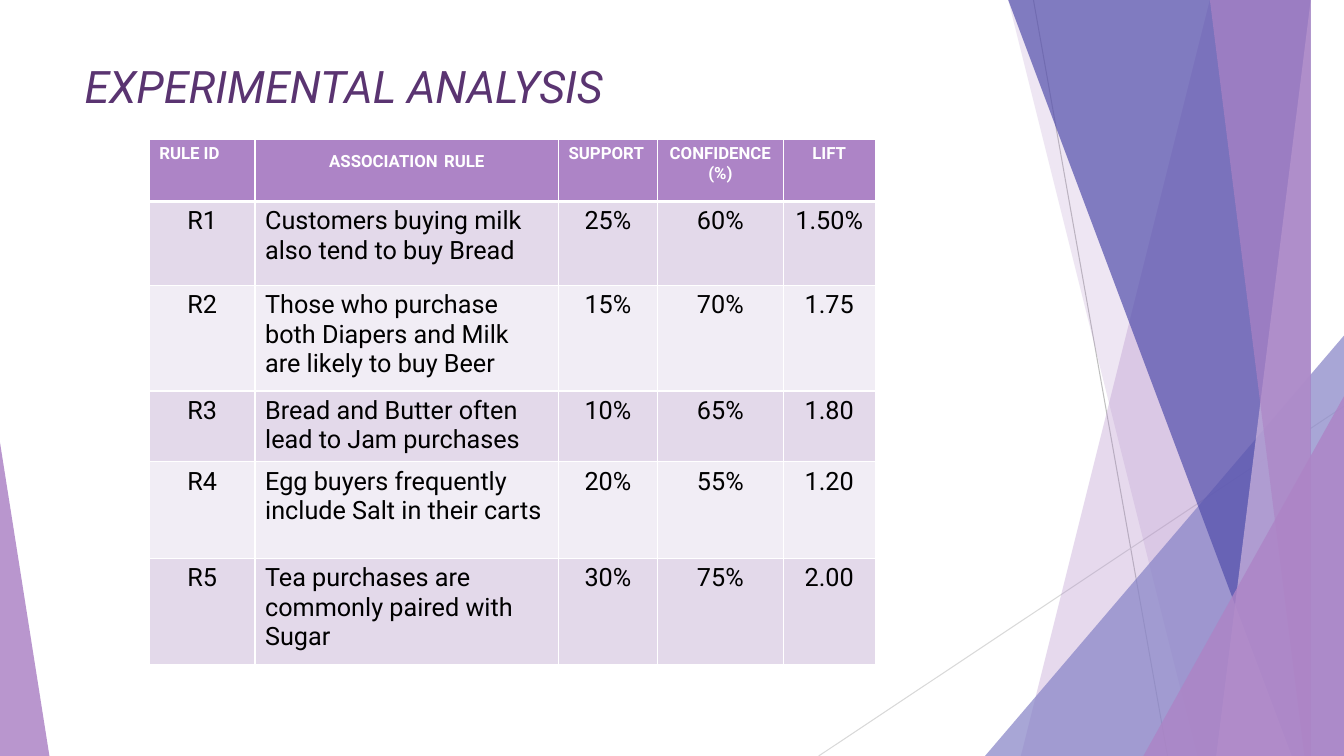
from dataclasses import dataclass

from lxml import etree
from pptx import Presentation
from pptx import util as u
from pptx.dml import color
from pptx.enum import shapes, text
from pptx.oxml import ns

WIDTH, HEIGHT = 13.33, 7.5
FONT = "Roboto"
COLOURS = {
    "orchid": "AD84C6",
    "lilac": "CEB5DD",
    "periwinkle": "8784C7",
    "indigo": "524EAB",
    "plum": "5A3471",
    "dark_band": "E3D9EA",
    "light_band": "F1EDF5",
    "grey": "BFBFBF",
    "light_grey": "D9D9D9",
    "white": "FFFFFF",
    "black": "000000",
}


@dataclass(frozen=True)
class Ray:
    start: tuple[float, float]
    end: tuple[float, float]
    colour: str


@dataclass(frozen=True)
class Ribbon:
    """A full-height band from a slanted left edge to the slide's right edge."""
    top_x: float
    bottom_x: float
    colour: str
    opacity: int


@dataclass(frozen=True)
class Corner:
    """A triangle standing on the slide's bottom edge; apex 0 is left, 1 right."""
    left: float
    top: float
    width: float
    apex: float
    colour: str
    opacity: int


@dataclass(frozen=True)
class Rule:
    rule_id: str
    wording: str
    support: str
    confidence: str
    lift: str
    height: float


RAYS = [
    Ray((10.25, 0), (11.58, HEIGHT), "grey"),
    Ray((WIDTH, 4.03), (8.12, HEIGHT), "light_grey"),
]
FACETS = [
    Ribbon(12.28, 10.04, "orchid", 30),
    Ribbon(10.5, 11.83, "orchid", 20),
    Corner(9.77, 3.33, 3.56, 1, "periwinkle", 72),
    Ribbon(10.21, 12.91, "indigo", 70),
    Ribbon(13.03, 11.92, "lilac", 70),
    Ribbon(11.96, 13.18, "orchid", 65),
    Corner(11.34, 3.93, 1.99, 1, "orchid", 80),
    Corner(0, 4.39, 0.49, 0, "orchid", 85),
]
COLUMN_WIDTHS = [1.05, 3.01, 0.98, 1.25, 0.91]
HEADER_HEIGHT = 0.62
HEADINGS = ["RULE ID", "ASSOCIATION RULE", "SUPPORT", "CONFIDENCE(%)", "LIFT"]
LEFT_HEADINGS = {"RULE ID", "SUPPORT"}
RULES = [
    Rule("R1", "Customers buying milk also tend to buy Bread", "25%", "60%", "1.50%", 0.83),
    Rule("R2", "Those who purchase both Diapers and Milk are likely to buy Beer",
         "15%", "70%", "1.75", 1.05),
    Rule("R3", "Bread and Butter often lead to Jam purchases", "10%", "65%", "1.80", 0.66),
    Rule("R4", "Egg buyers frequently include Salt in their carts", "20%", "55%", "1.20", 0.96),
    Rule("R5", "Tea purchases are commonly paired with Sugar", "30%", "75%", "2.00", 1.05),
]


def rgb(name: str) -> color.RGBColor:
    return color.RGBColor.from_string(COLOURS[name])


def write(paragraph, wording: str, *, size: float, colour: str, bold: bool = False,
          italic: bool = False, centred: bool = False) -> None:
    paragraph.alignment = text.PP_ALIGN.CENTER if centred else text.PP_ALIGN.LEFT
    run = paragraph.add_run()
    run.text = wording
    font = run.font
    font.name, font.size = FONT, u.Pt(size)
    font.bold, font.italic = bold, italic
    font.color.rgb = rgb(colour)


def draw_ray(slide, ray: Ray) -> None:
    line = slide.shapes.add_connector(
        shapes.MSO_CONNECTOR.STRAIGHT, *map(u.Inches, ray.start + ray.end))
    line.line.color.rgb = rgb(ray.colour)
    line.line.width = u.Pt(0.75)
    etree.SubElement(line._element.spPr, ns.qn("a:effectLst"))


def draw_facet(slide, facet: Ribbon | Corner) -> None:
    if isinstance(facet, Ribbon):
        outline = slide.shapes.build_freeform(facet.top_x, 0, scale=u.Inches(1))
        outline.add_line_segments(
            [(WIDTH, 0), (WIDTH, HEIGHT), (facet.bottom_x, HEIGHT)], close=True)
        shape = outline.convert_to_shape()
    else:
        box = (facet.left, facet.top, facet.width, HEIGHT - facet.top)
        shape = slide.shapes.add_shape(
            shapes.MSO_SHAPE.ISOSCELES_TRIANGLE, *map(u.Inches, box))
        shape.adjustments[0] = facet.apex
    shape.shadow.inherit = False
    shape.line.fill.background()
    shape.fill.solid()
    shape.fill.fore_color.rgb = rgb(facet.colour)
    tint = shape._element.spPr.find(f".//{ns.qn('a:srgbClr')}")
    etree.SubElement(tint, ns.qn("a:alpha"), val=str(facet.opacity * 1000))


def style_cell(cell, fill: str, bottom_border: float = 1) -> None:
    properties = cell._tc.get_or_add_tcPr()
    for side, width in {"L": 1, "R": 1, "T": 1, "B": bottom_border}.items():
        border = etree.SubElement(
            properties, ns.qn(f"a:ln{side}"), w=str(u.Pt(width)))
        paint = etree.SubElement(border, ns.qn("a:solidFill"))
        etree.SubElement(paint, ns.qn("a:srgbClr"), val=COLOURS["white"])
    cell.fill.solid()
    cell.fill.fore_color.rgb = rgb(fill)


def draw_rules(slide) -> None:
    heights = [HEADER_HEIGHT] + [rule.height for rule in RULES]
    box = (1.48, 1.38, sum(COLUMN_WIDTHS), sum(heights))
    table = slide.shapes.add_table(
        len(heights), len(COLUMN_WIDTHS), *map(u.Inches, box)).table
    for column, width in zip(table.columns, COLUMN_WIDTHS):
        column.width = u.Inches(width)
    for row, height in zip(table.rows, heights):
        row.height = u.Inches(height)

    for column, heading in enumerate(HEADINGS):
        cell = table.cell(0, column)
        style_cell(cell, "orchid", bottom_border=3)
        first, space, second = heading.partition(" ")
        # The large space sets the line height of the rule heading.
        pieces = [(heading, 12)]
        if heading == "ASSOCIATION RULE":
            pieces = [(first, 12), (space, 18), (second, 12)]
        for piece, size in pieces:
            write(cell.text_frame.paragraphs[0], piece, size=size, colour="white",
                  bold=True, centred=heading not in LEFT_HEADINGS)

    for row, rule in enumerate(RULES, start=1):
        values = [rule.rule_id, rule.wording, rule.support, rule.confidence, rule.lift]
        for column, value in enumerate(values):
            cell = table.cell(row, column)
            style_cell(cell, "dark_band" if row % 2 else "light_band")
            write(cell.text_frame.paragraphs[0], value, size=18, colour="black",
                  centred=value != rule.wording)


def draw_title(slide) -> None:
    title = slide.shapes.add_textbox(*map(u.Inches, (0.74, 0.52, 9.4, 0.66))).text_frame
    title.word_wrap = True
    title.vertical_anchor = text.MSO_ANCHOR.MIDDLE
    write(title.paragraphs[0], "EXPERIMENTAL ANALYSIS", size=32, colour="plum", italic=True)


def main() -> None:
    presentation = Presentation()
    presentation.slide_width = u.Inches(WIDTH)
    presentation.slide_height = u.Inches(HEIGHT)
    slide = presentation.slides.add_slide(presentation.slide_layouts[6])
    for ray in RAYS:
        draw_ray(slide, ray)
    for facet in FACETS:
        draw_facet(slide, facet)
    draw_title(slide)
    draw_rules(slide)
    presentation.save("out.pptx")


if __name__ == "__main__":
    main()
